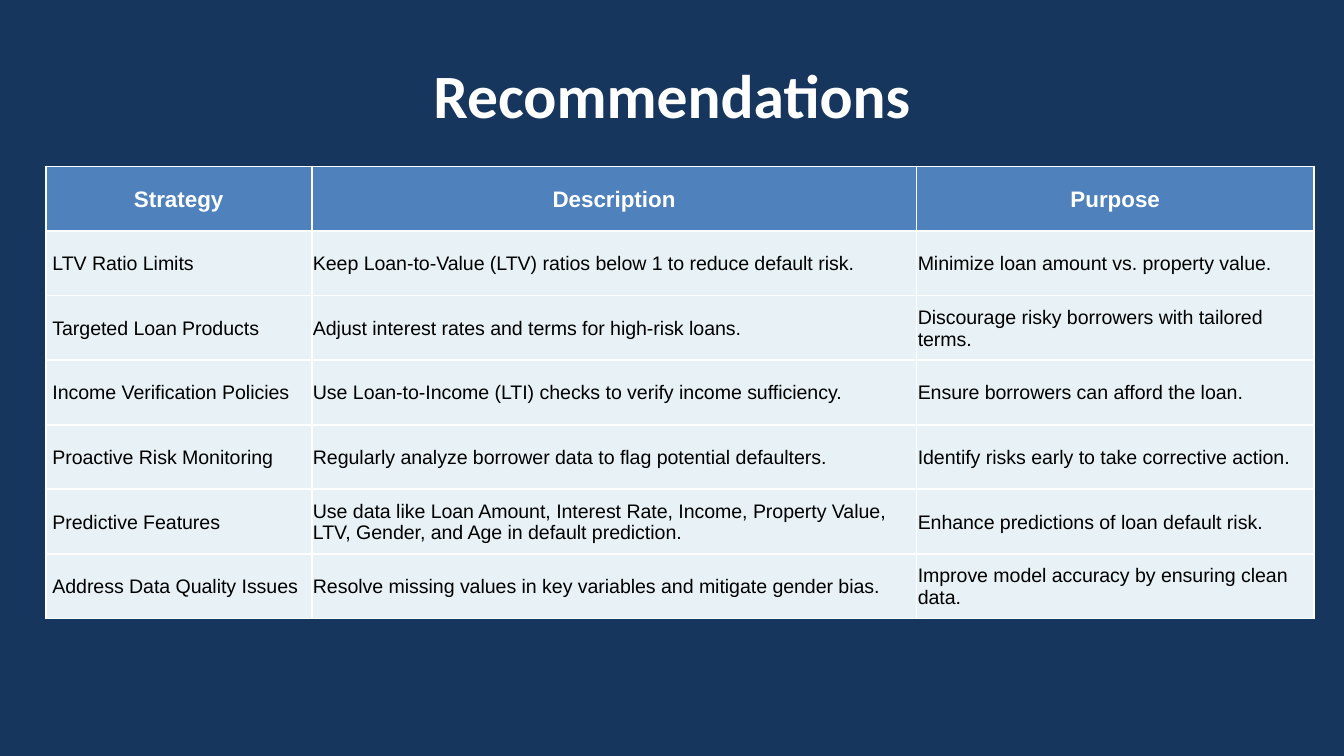
from dataclasses import dataclass
from lxml.etree import SubElement
from pptx import Presentation
from pptx.dml.color import RGBColor as Rgb
from pptx.enum.text import MSO_ANCHOR as Anchor, PP_ALIGN as Align
from pptx.oxml.ns import qn
from pptx.util import Pt


@dataclass(frozen=True)
class Theme:
    back: str = "17365D"
    head: str = "4F81BD"
    body: str = "E8F1F5"
    light: str = "FFFFFF"
    dark: str = "000000"
    title_font: str = "Calibri"
    font: str = "Arial"
    title_size: float = 33
    head_size: float = 12
    body_size: float = 10.5


THEME = Theme()
WIDTHS = (142.5, 324, 213)
ROW_H = 34.6
ROWS = (
    ("Strategy", "Description", "Purpose"),
    ("LTV Ratio Limits",
     "Keep Loan-to-Value (LTV) ratios below 1 to reduce default risk.",
     "Minimize loan amount vs. property value."),
    ("Targeted Loan Products",
     "Adjust interest rates and terms for high-risk loans.",
     "Discourage risky borrowers with tailored terms."),
    ("Income Verification Policies",
     "Use Loan-to-Income (LTI) checks to verify income sufficiency.",
     "Ensure borrowers can afford the loan."),
    ("Proactive Risk Monitoring",
     "Regularly analyze borrower data to flag potential defaulters.",
     "Identify risks early to take corrective action."),
    ("Predictive Features",
     "Use data like Loan Amount, Interest Rate, Income, Property Value, "
     "LTV, Gender, and Age in default prediction.",
     "Enhance predictions of loan default risk."),
    ("Address Data Quality Issues",
     "Resolve missing values in key variables and mitigate gender bias.",
     "Improve model accuracy by ensuring clean data."),
)


def paint(fill, color):
    fill.solid()
    fill.fore_color.rgb = Rgb.from_string(color)


def style(para, font, size, color, bold, align):
    para.alignment = align
    para.font.name = font
    para.font.size = Pt(size)
    para.font.bold = bold
    para.font.color.rgb = Rgb.from_string(color)


def add_title(slide, text):
    title = slide.shapes.title
    title.left, title.top = Pt(36), Pt(16.5)
    title.width, title.height = Pt(648), Pt(67.5)
    frame = title.text_frame
    frame.text = text
    frame.vertical_anchor = Anchor.MIDDLE
    style(frame.paragraphs[0], THEME.title_font, THEME.title_size,
          THEME.light, True, Align.CENTER)


def add_edges(cell):
    props = cell._tc.get_or_add_tcPr()
    for side in ("a:lnL", "a:lnR", "a:lnT", "a:lnB"):
        line = SubElement(props, qn(side), w=str(Pt(1)))
        fill = SubElement(line, qn("a:solidFill"))
        SubElement(fill, qn("a:srgbClr"), val=THEME.light)


def fill_cell(cell, text, head, first):
    cell.text = text
    cell.vertical_anchor = Anchor.MIDDLE
    cell.margin_left = Pt(3.6 if first and not head else 0.7)
    cell.margin_right = cell.margin_top = Pt(0.7)
    cell.margin_bottom = 0
    add_edges(cell)
    paint(cell.fill, THEME.head if head else THEME.body)
    style(cell.text_frame.paragraphs[0], THEME.font,
          THEME.head_size if head else THEME.body_size,
          THEME.light if head else THEME.dark,
          head, Align.CENTER if head else Align.LEFT)


def add_grid(slide, rows):
    table = slide.shapes.add_table(
        len(rows), len(WIDTHS), Pt(24.5), Pt(89.2),
        Pt(sum(WIDTHS)), Pt(ROW_H * len(rows))).table
    for col, width in zip(table.columns, WIDTHS):
        col.width = Pt(width)
    for r, row in enumerate(rows):
        table.rows[r].height = Pt(ROW_H)
        for c, text in enumerate(row):
            fill_cell(table.cell(r, c), text, r == 0, c == 0)


def main():
    deck = Presentation()
    deck.slide_width, deck.slide_height = Pt(720), Pt(405)
    slide = deck.slides.add_slide(deck.slide_layouts[5])
    paint(slide.background.fill, THEME.back)
    add_title(slide, "Recommendations")
    add_grid(slide, ROWS)
    deck.save("out.pptx")


if __name__ == "__main__":
    main()
